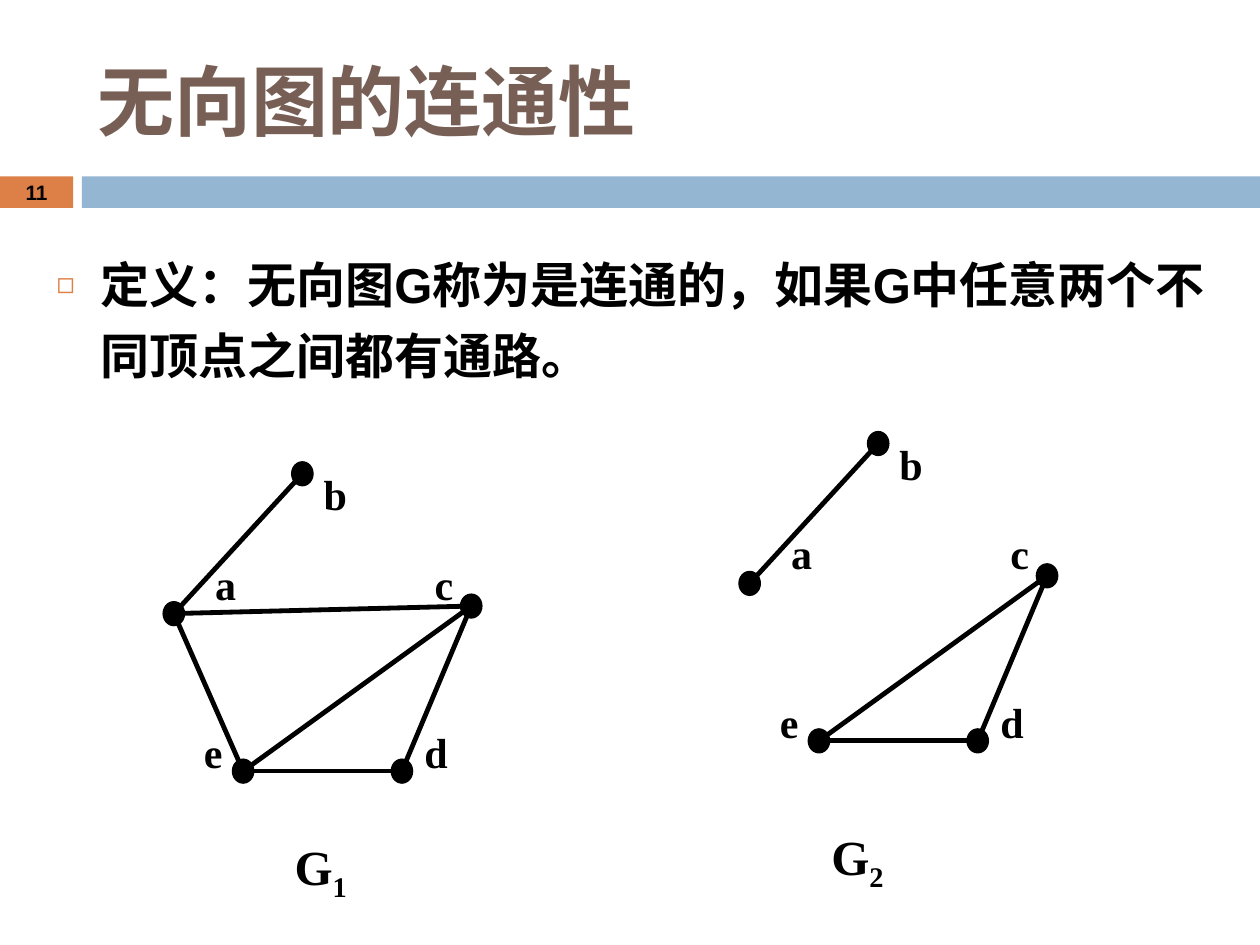
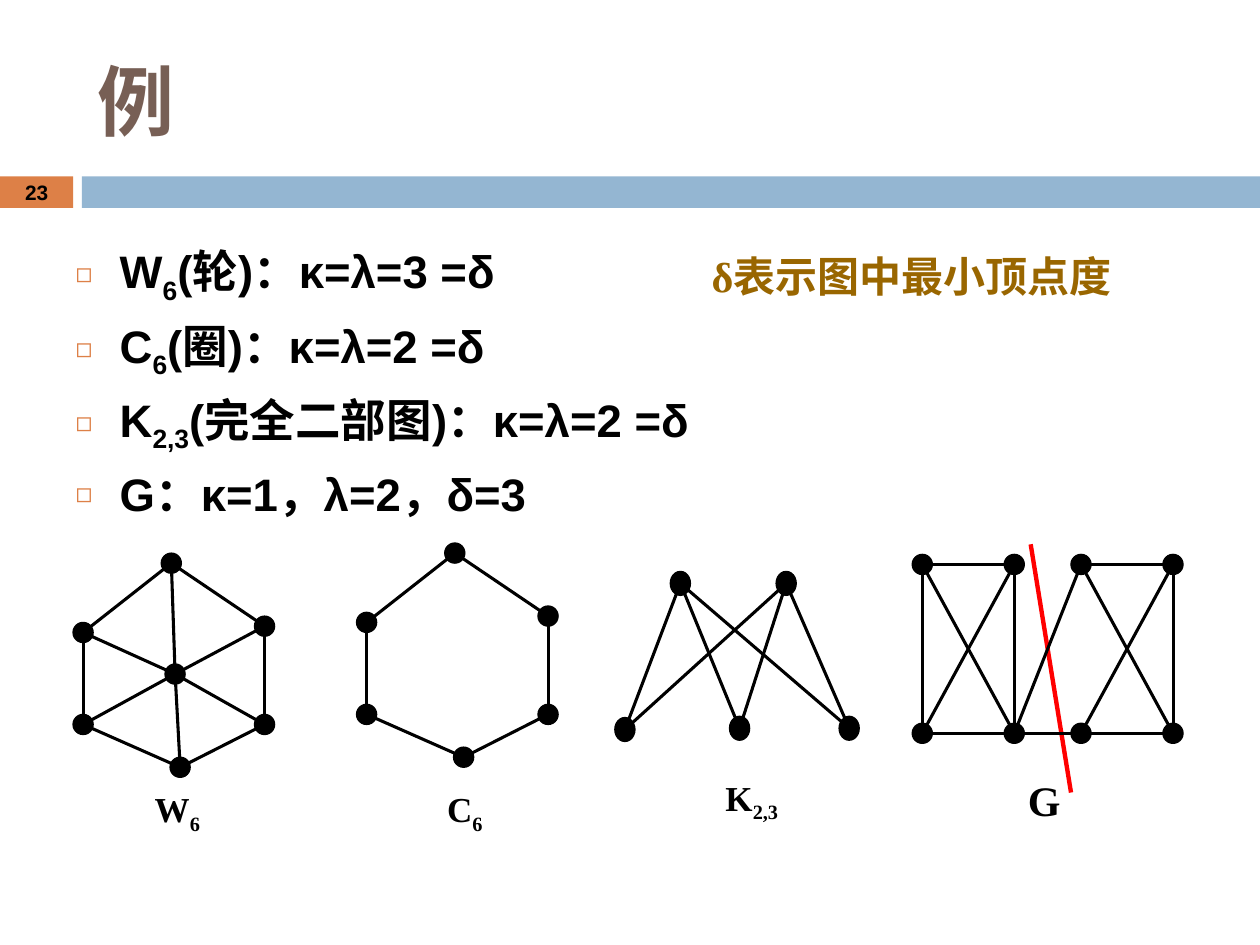
from dataclasses import dataclass

from lxml import etree
from pptx import Presentation
from pptx.dml.color import RGBColor
from pptx.enum.shapes import MSO_CONNECTOR, MSO_SHAPE
from pptx.enum.text import MSO_ANCHOR, MSO_AUTO_SIZE, PP_ALIGN
from pptx.oxml.ns import qn
from pptx.util import Cm, Pt

STRAIGHT = MSO_CONNECTOR.STRAIGHT
RECT, OVAL, DOT = MSO_SHAPE.RECTANGLE, MSO_SHAPE.OVAL, MSO_SHAPE.FLOWCHART_CONNECTOR
TOP, MIDDLE = MSO_ANCHOR.TOP, MSO_ANCHOR.MIDDLE
LEFT, CENTER = PP_ALIGN.LEFT, PP_ALIGN.CENTER

COLORS = {
    "ink": "000000",
    "title": "775F55",
    "accent": "DD8047",
    "band": "94B6D2",
    "note": "996600",
    "cut": "FF0000",
}
SANS, SERIF, HEAD = "Arial", "Times New Roman", "Calibri"
CM_PER_INCH = 2.54

Point = tuple[float, float]
Box = tuple[float, float, float, float]
Pieces = tuple[str, ...]


@dataclass(frozen=True)
class Label:
    pieces: Pieces
    box: Box
    size: float
    color: str = "ink"


@dataclass(frozen=True)
class Graph:
    vertices: dict[str, Point]
    edges: str
    dot: Point = (0.16, 0.16)
    shape: MSO_SHAPE = DOT
    weight: float = 1.75


def cm(inches: float) -> Cm:
    return Cm(inches * CM_PER_INCH)


def rgb(name: str) -> RGBColor:
    return RGBColor.from_string(COLORS[name])


def shift(points: dict[str, Point], dx: float, dy: float) -> dict[str, Point]:
    return {name: (x + dx, y + dy) for name, (x, y) in points.items()}


def write(p, pieces: Pieces, font: str, size: float, color: str = "ink") -> None:
    """Fill a paragraph; every second piece is a subscript."""
    p.font.name, p.font.size, p.font.bold = font, Pt(size), True
    p.font.color.rgb = rgb(color)
    for i, piece in enumerate(pieces):
        r = p.add_run()
        r.text = piece
        if i % 2:
            r._r.get_or_add_rPr().set("baseline", "-25000")


def place(sp, box: Box) -> None:
    sp.left, sp.top, sp.width, sp.height = map(cm, box)


def add_filled(slide, kind: MSO_SHAPE, box: Box, color: str, outline: float = 0) -> None:
    sp = slide.shapes.add_shape(kind, *map(cm, box))
    sp.shadow.inherit = False
    sp.fill.solid()
    sp.fill.fore_color.rgb = rgb(color)
    if outline:
        sp.line.color.rgb = rgb(color)
        sp.line.width = Pt(outline)
    else:
        sp.line.fill.background()


def add_line(slide, start: Point, end: Point, weight: float, color: str = "ink") -> None:
    line = slide.shapes.add_connector(STRAIGHT, *map(cm, start + end))
    line.line.color.rgb = rgb(color)
    line.line.width = Pt(weight)
    etree.SubElement(line.element.spPr, qn("a:effectLst"))


def add_label(slide, label: Label) -> None:
    tf = slide.shapes.add_textbox(*map(cm, label.box)).text_frame
    tf.word_wrap = True
    write(tf.paragraphs[0], label.pieces, SERIF, label.size, label.color)


def add_graph(slide, graph: Graph) -> None:
    for start, end in graph.edges.split():
        add_line(slide, graph.vertices[start], graph.vertices[end], graph.weight)
    w, h = graph.dot
    for x, y in graph.vertices.values():
        add_filled(slide, graph.shape, (x - w / 2, y - h / 2, w, h), "ink", 0.75)


def set_bullet(p) -> None:
    pPr = p._p.get_or_add_pPr()
    pPr.set("marL", str(cm(0.35)))
    pPr.set("indent", str(-cm(0.35)))
    color = etree.Element(qn("a:buClr"))
    etree.SubElement(color, qn("a:srgbClr"), val=COLORS["accent"])
    size = etree.Element(qn("a:buSzPct"), val="60000")
    char = etree.Element(qn("a:buChar"), char="◻")
    font = pPr.find(qn("a:defRPr"))
    for element in (color, size, char):
        font.addprevious(element)


def add_body(slide, box: Box, items: list[Pieces], size: float, spacing: float) -> None:
    body = slide.placeholders[1]
    place(body, box)
    tf = body.text_frame
    tf.auto_size = MSO_AUTO_SIZE.NONE
    tf.vertical_anchor = TOP
    for i, pieces in enumerate(items):
        p = tf.add_paragraph() if i else tf.paragraphs[0]
        p.line_spacing, p.space_before = spacing, Pt(7)
        write(p, pieces, SANS, size)
        set_bullet(p)


def add_slide(prs, title: str, title_font: str, number: str):
    """Add a slide with its title, the two bands and the page number."""
    slide = prs.slides.add_slide(prs.slide_layouts[1])
    add_filled(slide, RECT, (0, 1.4, 0.58, 0.25), "accent")
    add_filled(slide, RECT, (0.65, 1.4, 9.35, 0.25), "band")

    head = slide.shapes.title
    place(head, (0.67, 0.25, 8.92, 1.08))
    tf = head.text_frame
    tf.auto_size = MSO_AUTO_SIZE.NONE
    tf.vertical_anchor = MIDDLE
    tf.paragraphs[0].alignment = LEFT
    write(tf.paragraphs[0], (title,), title_font, 44, "title")

    tf = slide.shapes.add_textbox(*map(cm, (0, 1.39, 0.58, 0.27))).text_frame
    tf.word_wrap = True
    tf.vertical_anchor = MIDDLE
    tf.paragraphs[0].alignment = CENTER
    write(tf.paragraphs[0], (number,), SANS, 11.9)
    return slide


def add_connectivity_slide(prs) -> None:
    slide = add_slide(prs, "无向图的连通性", HEAD, "11")
    definition = "定义：无向图G称为是连通的，如果G中任意两个不同顶点之间都有通路。"
    add_body(slide, (0.35, 1.88, 9.65, 1.32), [(definition,)], 28, 1.2)

    vertices = {"a": (1.38, 4.87), "b": (2.4, 3.76), "c": (3.74, 4.81),
                "d": (3.19, 6.12), "e": (1.93, 6.12)}
    corners = {"a": (1.61, 4.38), "b": (2.47, 3.67), "c": (3.35, 4.38),
               "d": (3.27, 5.72), "e": (1.52, 5.72)}
    connected = "ab ac ae ce cd de"
    split = "ab ce cd de"
    for edges, dx, dy in ((connected, 0, 0), (split, 4.57, -0.24)):
        add_graph(slide, Graph(shift(vertices, dx, dy), edges, (0.17, 0.19), OVAL, 2.75))
        for name, corner in shift(corners, dx, dy).items():
            add_label(slide, Label((name,), (*corner, 0.39, 0.5), 24))
    add_label(slide, Label(("G", "1"), (2.24, 6.59, 1.02, 0.57), 28))
    add_label(slide, Label(("G", "2"), (6.5, 6.51, 1.02, 0.57), 28))


def add_example_slide(prs) -> None:
    slide = add_slide(prs, "例", SANS, "23")
    add_body(slide, (0.5, 1.88, 9, 2.18), [
        ("W", "6", "(轮)：κ=λ=3 =δ"),
        ("C", "6", "(圈)：κ=λ=2 =δ"),
        ("K", "2,3", "(完全二部图)：κ=λ=2 =δ"),
        ("G：κ=1，λ=2，δ=3",),
    ], 26, 1.0)

    ring = {"1": (1.36, 4.47), "2": (2.1, 4.97), "3": (2.1, 5.75),
            "4": (1.43, 6.09), "5": (0.66, 5.75), "6": (0.66, 5.02)}
    ring_edges = "12 23 34 45 56 61"
    spokes = " ".join(f"h{name}" for name in ring)
    wheel = Graph(ring | {"h": (1.39, 5.35)}, f"{ring_edges} {spokes}")
    cycle = Graph(shift(ring, 2.25, -0.08), ring_edges)

    bipartite = Graph(
        {"a": (5.4, 4.63), "b": (6.24, 4.63),
         "x": (4.96, 5.79), "y": (5.87, 5.78), "z": (6.74, 5.78)},
        " ".join(u + v for u in "ab" for v in "xyz"), (0.16, 0.19))

    columns = (7.32, 8.05, 8.58, 9.31)
    top = {name: (x, 4.48) for name, x in zip("abcd", columns)}
    bottom = {name: (x, 5.82) for name, x in zip("pqrs", columns)}
    bridged = Graph(top | bottom, "ab ap bq bp aq pq cd ds dr cs rs qr qc")

    add_line(slide, (8.18, 4.32), (8.5, 6.29), 2.5, "cut")
    for graph in (wheel, cycle, bipartite, bridged):
        add_graph(slide, graph)
    for label in (
        Label(("W", "6"), (1.13, 6.2, 0.74, 0.61), 20),
        Label(("C", "6"), (3.45, 6.2, 0.74, 0.61), 20),
        Label(("K", "2,3"), (5.66, 6.11, 0.74, 0.61), 20),
        Label(("G",), (8.06, 6.1, 0.79, 0.55), 24),
        Label(("δ表示图中最小顶点度",), (5.55, 1.94, 3.47, 0.5), 24, "note"),
    ):
        add_label(slide, label)


def main() -> None:
    prs = Presentation()
    prs.slide_width, prs.slide_height = Cm(25.4), Cm(19.05)
    add_connectivity_slide(prs)
    add_example_slide(prs)
    prs.save("out.pptx")


if __name__ == "__main__":
    main()
